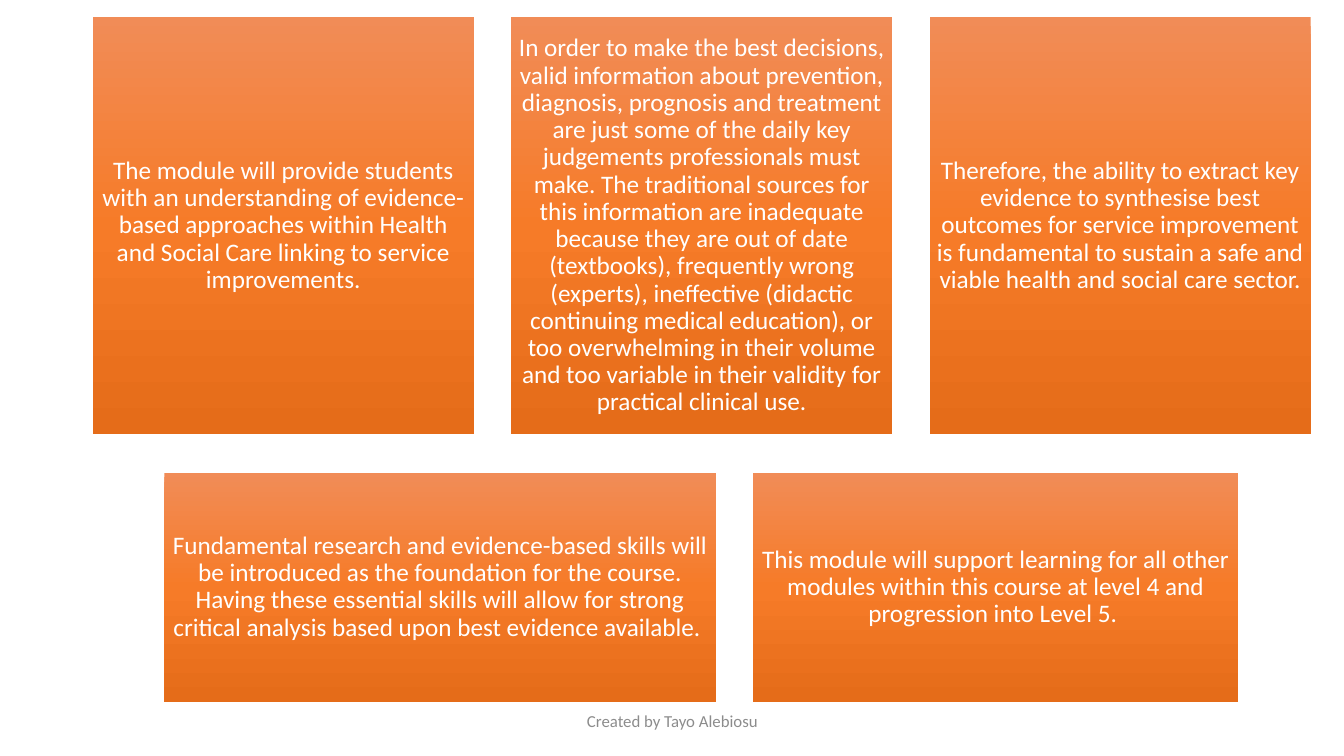
from copy import deepcopy

from pptx import Presentation
from pptx.dml.color import RGBColor
from pptx.enum.shapes import MSO_SHAPE
from pptx.enum.text import MSO_ANCHOR, PP_ALIGN
from pptx.oxml.ns import qn
from pptx.util import Inches, Pt

RECT = MSO_SHAPE.RECTANGLE
MIDDLE = MSO_ANCHOR.MIDDLE
CENTER = PP_ALIGN.CENTER
FONT = "Calibri"
COLORS = {"top": "F18C57", "mid": "F67B28", "bottom": "E56C19",
          "text": "FFFFFF", "footer": "8C8C8C"}
GAP = 0.37

TOP_CARDS = [
    (3.78, "The module will provide students with an understanding of evidence-based "
           "approaches within Health and Social Care linking to service improvements."),
    (3.78, "In order to make the best decisions, valid information about prevention, "
           "diagnosis, prognosis and treatment are just some of the daily key judgements "
           "professionals must make. The traditional sources for this information are "
           "inadequate because they are out of date (textbooks), frequently wrong "
           "(experts), ineffective (didactic continuing medical education), or too "
           "overwhelming in their volume and too variable in their validity for "
           "practical clinical use."),
    (3.78, "Therefore, the ability to extract key evidence to synthesise best outcomes "
           "for service improvement is fundamental to sustain a safe and viable health "
           "and social care sector. "),
]
BOTTOM_CARDS = [
    (5.47, "Fundamental research and evidence-based skills will be introduced as the "
           "foundation for the course. Having these essential skills will allow for "
           "strong critical analysis based upon best evidence available. "),
    (4.81, "This module will support learning for all other modules within this course "
           "at level 4 and progression into Level 5. "),
]


def write_text(tf, text, size, color):
    """Fill a text frame with one centred paragraph."""
    tf.word_wrap = True
    tf.vertical_anchor = MIDDLE
    p = tf.paragraphs[0]
    p.alignment = CENTER
    r = p.add_run()
    r.text = text
    r.font.name = FONT
    r.font.size = Pt(size)
    r.font.color.rgb = RGBColor.from_string(COLORS[color])
    return p


def fill_gradient(sp):
    """Give a shape the vertical three-stop gradient."""
    sp.fill.gradient()
    sp.fill.gradient_angle = 270
    stops = sp._element.spPr.find(qn("a:gradFill")).find(qn("a:gsLst"))
    stops.append(deepcopy(stops[-1]))
    names = ("top", "mid", "bottom")
    for i, (stop, name) in enumerate(zip(sp.fill.gradient_stops, names)):
        stop.position = i / 2
        stop.color.rgb = RGBColor.from_string(COLORS[name])


def add_card(slide, x, y, w, h, text):
    """Add one gradient card with its text."""
    sp = slide.shapes.add_shape(RECT, Inches(x), Inches(y), Inches(w), Inches(h))
    sp.shadow.inherit = False
    fill_gradient(sp)
    sp.line.fill.background()
    tf = sp.text_frame
    tf.margin_left = tf.margin_right = tf.margin_top = tf.margin_bottom = Inches(0.07)
    write_text(tf, text, 18, "text").line_spacing = 0.9


def add_card_row(slide, x, y, h, cards):
    """Lay cards from left to right with equal gaps."""
    for w, text in cards:
        add_card(slide, x, y, w, h, text)
        x += w + GAP


def add_footer(slide, x, y, w, h):
    """Add the centred footer line."""
    tb = slide.shapes.add_textbox(Inches(x), Inches(y), Inches(w), Inches(h))
    write_text(tb.text_frame, "Created by Tayo Alebiosu", 12, "footer")


def main():
    """Build and save the slide."""
    prs = Presentation()
    prs.slide_width = Inches(13.33)
    prs.slide_height = Inches(7.5)
    slide = prs.slides.add_slide(prs.slide_layouts[6])
    add_footer(slide, 4.42, 6.95, 4.5, 0.4)
    add_card_row(slide, 0.92, 0.17, 4.14, TOP_CARDS)
    add_card_row(slide, 1.63, 4.69, 2.27, BOTTOM_CARDS)
    prs.save("out.pptx")


if __name__ == "__main__":
    main()
